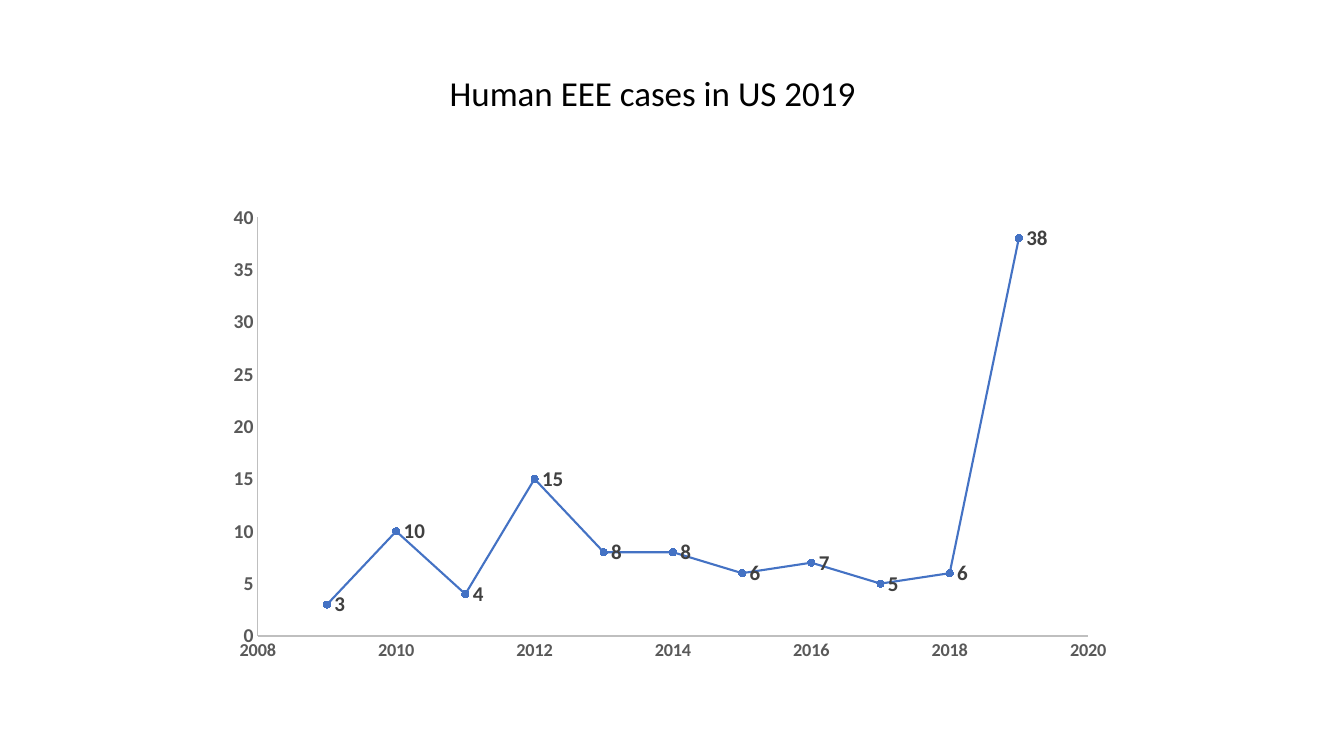
from dataclasses import dataclass

from lxml import etree
from pptx import Presentation
from pptx import util as u
from pptx.chart.data import XyChartData
from pptx.chart.datalabel import DataLabels
from pptx.dml.color import RGBColor
from pptx.enum import chart as ch, text
from pptx.oxml.ns import qn


@dataclass(frozen=True)
class Theme:
    font: str = "Calibri"
    ink: str = "000000"
    axis_text: str = "595959"
    axis_line: str = "BFBFBF"
    label_text: str = "404040"
    series: str = "4472C4"
    title_size: int = 25
    base_size: int = 10
    year_size: int = 13
    case_size: int = 14
    label_size: int = 15


THEME = Theme()
SLIDE_WIDTH, SLIDE_HEIGHT = u.Inches(13.33), u.Inches(7.5)
TITLE_AREA = (32.71, 8.8, 41.71, 6.93)
CHART_AREA = (15.45, 20.67, 67.82, 68.4)
PLOT_AREA = {"x": 0.055, "y": 0.118, "w": 0.911, "h": 0.81}
FIRST_YEAR = 2009
CASES = [3, 10, 4, 15, 8, 8, 6, 7, 5, 6, 38]


def percent_box(area):
    sides = (SLIDE_WIDTH, SLIDE_HEIGHT) * 2
    return [u.Emu(int(side * share / 100)) for side, share in zip(sides, area)]


def style_font(font, size, color, bold=False):
    font.name = THEME.font
    font.size = u.Pt(size)
    font.bold = bold
    font.color.rgb = RGBColor.from_string(color)


def add_title(page, wording):
    title = page.shapes.title
    title.left, title.top, title.width, title.height = percent_box(TITLE_AREA)
    frame = title.text_frame
    frame.word_wrap = True
    frame.auto_size = text.MSO_AUTO_SIZE.SHAPE_TO_FIT_TEXT
    frame.vertical_anchor = text.MSO_ANCHOR.TOP
    para = frame.paragraphs[0]
    para.alignment = text.PP_ALIGN.LEFT
    span = para.add_run()
    span.text = wording
    style_font(span.font, THEME.title_size, THEME.ink)


def style_axis(axis, low, high, step, size):
    axis.minimum_scale, axis.maximum_scale, axis.major_unit = low, high, step
    axis.has_major_gridlines = False
    axis.major_tick_mark = axis.minor_tick_mark = ch.XL_TICK_MARK.NONE
    axis.format.line.color.rgb = RGBColor.from_string(THEME.axis_line)
    axis.format.line.width = u.Pt(0.75)
    style_font(axis.tick_labels.font, size, THEME.axis_text, bold=True)


def style_series(series):
    color = RGBColor.from_string(THEME.series)
    series.format.line.color.rgb = color
    series.format.line.width = u.Pt(1.5)
    marker = series.marker
    marker.style = ch.XL_MARKER_STYLE.CIRCLE
    marker.size = 5
    marker.format.fill.solid()
    marker.format.fill.fore_color.rgb = color
    marker.format.line.color.rgb = color
    labels = DataLabels(series._element.get_or_add_dLbls())
    labels.show_value = True
    labels.position = ch.XL_LABEL_POSITION.RIGHT
    style_font(labels.font, THEME.label_size, THEME.label_text, bold=True)


def place_plot(chart):
    plot_area = chart._chartSpace.chart.plotArea
    for layout in plot_area.findall(qn("c:layout")):
        plot_area.remove(layout)
    layout = etree.Element(qn("c:layout"))
    manual = etree.SubElement(layout, qn("c:manualLayout"))
    settings = {"layoutTarget": "inner", "xMode": "edge", "yMode": "edge", **PLOT_AREA}
    for name, value in settings.items():
        etree.SubElement(manual, qn(f"c:{name}")).set("val", str(value))
    plot_area.insert(0, layout)


def add_case_chart(page):
    data = XyChartData()
    points = data.add_series("Series 1")
    for year, cases in enumerate(CASES, FIRST_YEAR):
        points.add_data_point(year, cases)
    chart = page.shapes.add_chart(
        ch.XL_CHART_TYPE.XY_SCATTER_LINES, *percent_box(CHART_AREA), data
    ).chart
    chart.has_title = False
    chart.has_legend = False
    style_font(chart.font, THEME.base_size, THEME.ink)
    plot = chart.plots[0]
    plot.vary_by_categories = False
    style_axis(chart.category_axis, 2008, 2020, 2, THEME.year_size)
    style_axis(chart.value_axis, 0, 40, 5, THEME.case_size)
    style_series(plot.series[0])
    place_plot(chart)


def main():
    deck = Presentation()
    deck.slide_width, deck.slide_height = SLIDE_WIDTH, SLIDE_HEIGHT
    page = deck.slides.add_slide(deck.slide_layouts.get_by_name("Title Only"))
    add_case_chart(page)
    add_title(page, "Human EEE cases in US 2019")
    deck.save("out.pptx")


if __name__ == "__main__":
    main()
